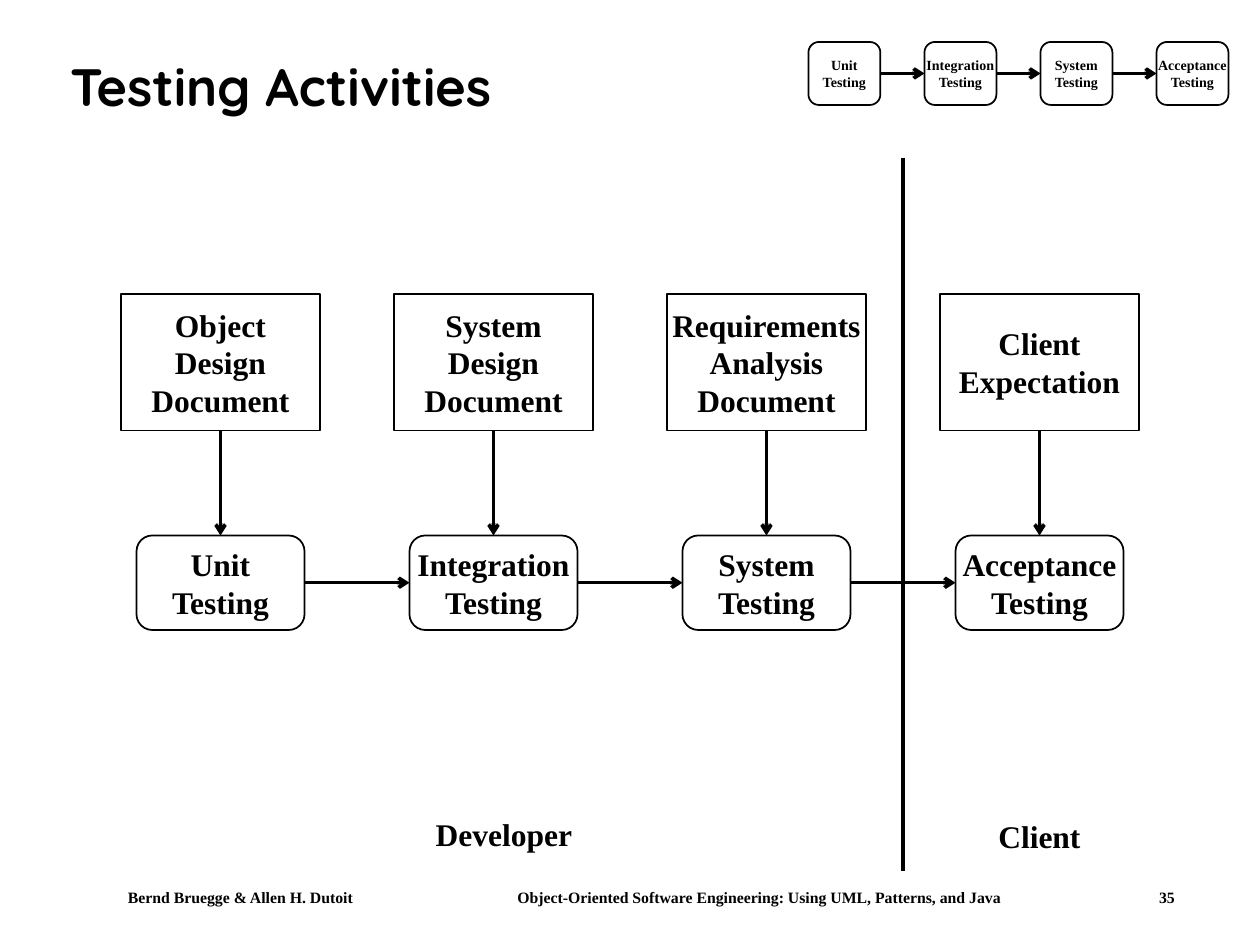
from copy import deepcopy

from lxml.etree import SubElement
from pptx import Presentation
from pptx.dml.color import RGBColor
from pptx.enum.shapes import MSO_CONNECTOR, MSO_SHAPE
from pptx.enum.text import MSO_ANCHOR, PP_ALIGN
from pptx.oxml.ns import qn
from pptx.util import Inches, Pt

BLACK = RGBColor(0, 0, 0)
WHITE = RGBColor(255, 255, 255)
COLUMNS, ROWS = 120, 90


class Diagram:
    """Draws black and white diagram parts on a page, placed by grid columns and rows."""

    body_font = "Times New Roman"
    title_font = "Quicksand"

    def __init__(self, deck):
        self.page = deck.slides.add_slide(deck.slide_layouts[6])
        self.column = deck.slide_width / COLUMNS
        self.row = deck.slide_height / ROWS

    def place(self, *lengths):
        units = (self.column, self.row) * 2
        return [round(length * unit) for length, unit in zip(lengths, units)]

    def fill_text(self, shape, text, size, align, font=None, wrap=True):
        frame = shape.text_frame
        frame.word_wrap = wrap
        frame.vertical_anchor = MSO_ANCHOR.MIDDLE
        frame.text = text
        for para in frame.paragraphs:
            para.alignment = align
            for span in para.runs:
                span.font.name = font or self.body_font
                span.font.size = Pt(size)
                span.font.bold = True
                span.font.color.rgb = BLACK
            for line_break in para._p.findall(qn("a:br")):
                line_break.append(deepcopy(para.runs[0]._r.rPr))
        return frame

    def title(self, text, *area):
        box = self.page.shapes.add_textbox(*self.place(*area))
        frame = self.fill_text(box, text, 30, PP_ALIGN.LEFT, self.title_font)
        frame.paragraphs[0].line_spacing = 0.9

    def label(self, text, *area):
        box = self.page.shapes.add_textbox(*self.place(*area))
        self.fill_text(box, text, 18, PP_ALIGN.CENTER)

    def footer(self, text, stops, *area):
        box = self.page.shapes.add_textbox(*self.place(*area))
        frame = self.fill_text(box, text, 9, PP_ALIGN.LEFT)
        frame.vertical_anchor = MSO_ANCHOR.TOP
        tabs = SubElement(frame.paragraphs[0]._p.get_or_add_pPr(), qn("a:tabLst"))
        for column, align in stops:
            SubElement(tabs, qn("a:tab"), pos=str(round(column * self.column)), algn=align)

    def node(self, kind, text, size, *area):
        box = self.page.shapes.add_shape(kind, *self.place(*area))
        box.shadow.inherit = False
        box.fill.solid()
        box.fill.fore_color.rgb = WHITE
        box.line.color.rgb = BLACK
        box.line.width = Pt(1)
        self.fill_text(box, text, size, PP_ALIGN.CENTER, wrap=False)

    def line(self, *ends, arrow=True):
        line = self.page.shapes.add_connector(MSO_CONNECTOR.STRAIGHT, *self.place(*ends))
        line.line.color.rgb = BLACK
        line.line.width = Pt(2)
        if arrow:
            SubElement(line.line._get_or_add_ln(), qn("a:tailEnd"), type="arrow")
        SubElement(line._element.spPr, qn("a:effectLst"))

    def chain(self, texts, size, left, top, width, height, pitch):
        middle = top + height / 2
        for index, text in enumerate(texts):
            start = left + index * pitch
            self.node(MSO_SHAPE.ROUNDED_RECTANGLE, text, size, start, top, width, height)
            if index:
                self.line(start - pitch + width, middle, start, middle)


def main():
    deck = Presentation()
    deck.slide_width, deck.slide_height = Inches(10), Inches(7.5)
    diagram = Diagram(deck)

    tests = [f"{name}\vTesting" for name in ("Unit", "Integration", "System", "Acceptance")]
    documents = [
        "Object\vDesign\nDocument",
        "System\vDesign\nDocument",
        "Requirements\vAnalysis\nDocument",
        "Client\nExpectation",
    ]

    diagram.footer(
        "\tBernd Bruegge & Allen H. Dutoit"
        "\tObject-Oriented Software Engineering: Using UML, Patterns, and Java\t35",
        [(4, "l"), (41.1, "l"), (103.7, "r")],
        7, 84, 110, 3,
    )
    diagram.title("Testing Activities", 5.5, 2.9, 107, 11.25)
    diagram.chain(tests, 18, 13, 51, 16, 9, 26)
    for index, document in enumerate(documents):
        left = 11.5 + 26 * index
        diagram.node(MSO_SHAPE.RECTANGLE, document, 18, left, 28, 19, 13)
        diagram.line(left + 9.5, 41, left + 9.5, 51)
    diagram.line(86, 15, 86, 83, arrow=False)
    diagram.label("Developer", 39, 77, 18, 4.8)
    diagram.label("Client", 90, 77.2, 18, 4.8)
    diagram.chain(tests, 8, 77, 4, 6.85, 6, 11.05)

    deck.save("out.pptx")


if __name__ == "__main__":
    main()
